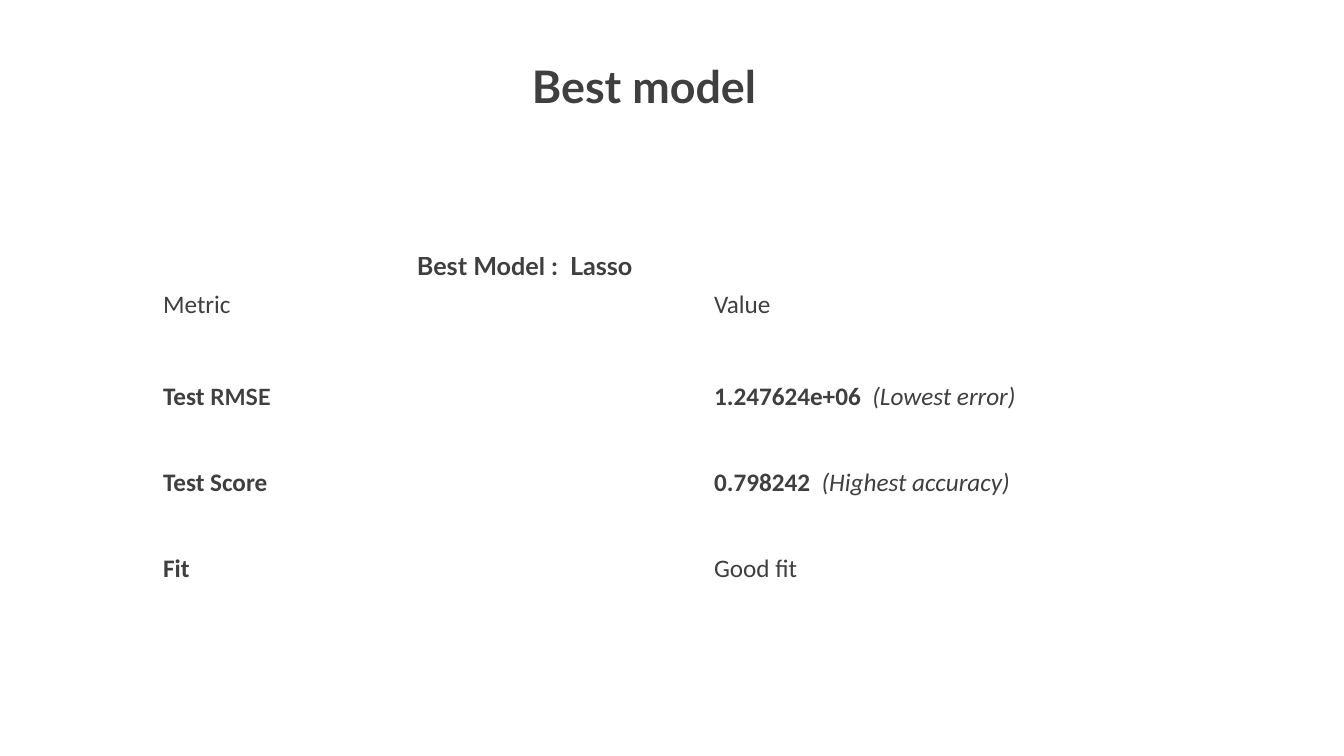
from pptx import Presentation
from pptx.dml.color import RGBColor
from pptx.enum.text import MSO_ANCHOR as Anchor, MSO_AUTO_SIZE as AutoSize
from pptx.util import Emu, Pt

EMU_PER_PX = 914400 / 100.8


def px(length):
    return Emu(round(length * EMU_PER_PX))


def color(hex_string):
    return RGBColor.from_string(hex_string)


class SlideBuilder:
    TEXT = "3F3F3F"
    BACKGROUND = "FFFFFF"
    HEADING_FONT = "Lato"
    BODY_FONT = "Calibri"
    BODY_SIZE = 18

    def __init__(self, presentation):
        self.slide = presentation.slides.add_slide(presentation.slide_layouts[6])
        fill = self.slide.background.fill
        fill.solid()
        fill.fore_color.rgb = color(self.BACKGROUND)

    def style(self, font, name, size, bold=False, italic=False):
        font.name, font.size = name, Pt(size)
        font.bold, font.italic = bold, italic
        font.color.rgb = color(self.TEXT)

    def heading(self, text, left, top, width, height, size, anchor=Anchor.TOP):
        box = self.slide.shapes.add_textbox(px(left), px(top), px(width), px(height))
        frame = box.text_frame
        frame.word_wrap = True
        frame.auto_size = AutoSize.SHAPE_TO_FIT_TEXT
        frame.vertical_anchor = anchor
        paragraph = frame.paragraphs[0]
        self.style(paragraph.font, self.HEADING_FONT, size, bold=True)
        paragraph.add_run().text = text

    def cell(self, cell, runs):
        cell.fill.background()
        cell.vertical_anchor = Anchor.MIDDLE
        paragraph = cell.text_frame.paragraphs[0]
        for text, options in runs:
            run = paragraph.add_run()
            run.text = text
            self.style(run.font, **{"name": self.BODY_FONT, "size": self.BODY_SIZE, **options})

    def table(self, rows, left, top, column_widths, row_heights):
        frame = self.slide.shapes.add_table(
            len(row_heights), len(column_widths), px(left), px(top),
            px(sum(column_widths)), px(sum(row_heights)))
        table = frame.table
        table.first_row = table.horz_banding = False
        for column, width in zip(table.columns, column_widths):
            column.width = px(width)
        for row, height, contents in zip(table.rows, row_heights, rows):
            row.height = px(height)
            for cell, runs in zip(row.cells, contents):
                self.cell(cell, runs)


def main():
    presentation = Presentation()
    presentation.slide_width, presentation.slide_height = px(1344), px(756)
    builder = SlideBuilder(presentation)

    # Title and table caption
    builder.heading("Best model", 522, 54, 446, 65, size=32)
    builder.heading("Best Model :  Lasso", 407, 245, 254, 40, size=18, anchor=Anchor.MIDDLE)

    # Metrics of the best model
    plain, bold, italic = {}, {"bold": True}, {"italic": True}
    small_bold = {"name": builder.HEADING_FONT, "size": 16, "bold": True}
    metrics = [
        ([("Metric", plain)], [("Value", plain)]),
        ([("Test ", bold), ("RMSE", small_bold)],
         [("1.247624e+06  ", bold), ("(Lowest error)", italic)]),
        ([("Test Score", bold)],
         [("0.798242  ", bold), ("(Highest accuracy)", italic)]),
        ([("Fit", bold)], [("Good fit", plain)]),
    ]
    builder.table(metrics, 153, 256, column_widths=[551, 566], row_heights=[98, 86, 86, 86])

    presentation.save("out.pptx")


if __name__ == "__main__":
    main()
